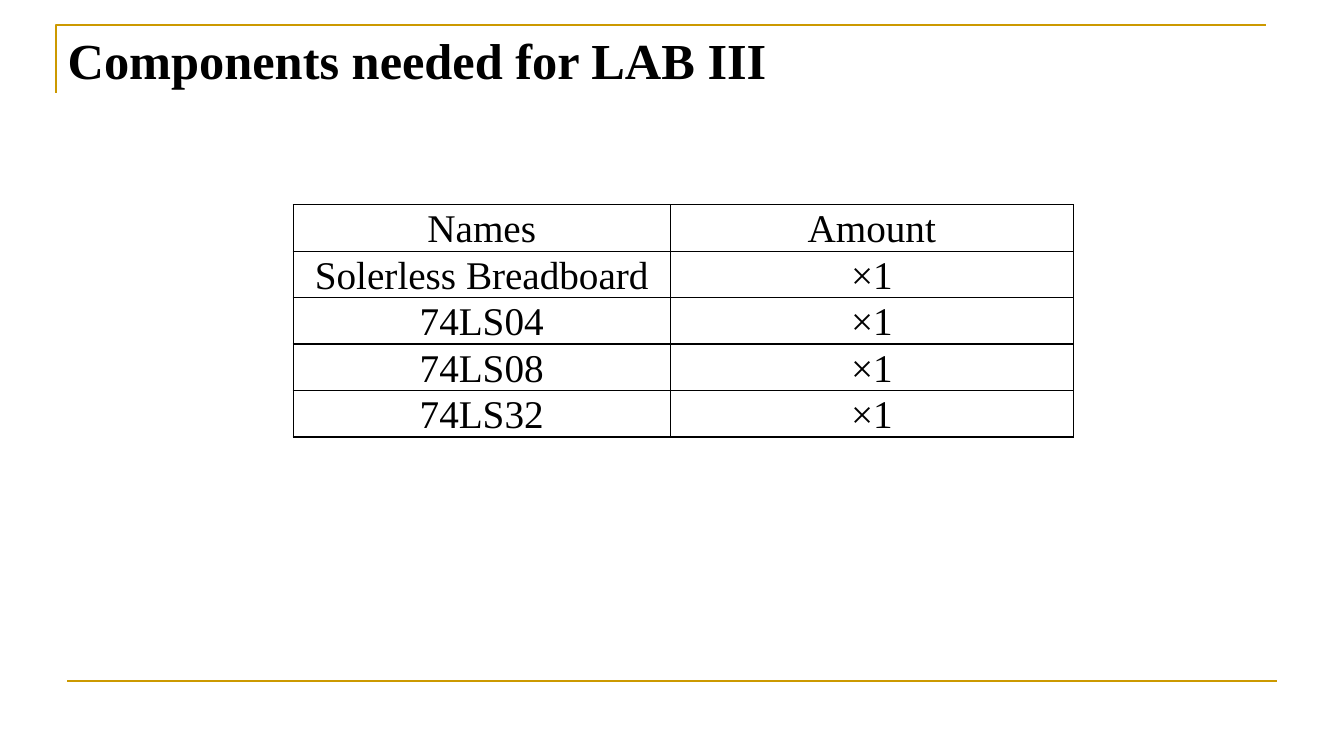
from dataclasses import dataclass

from lxml.etree import SubElement
from pptx import Presentation
from pptx.dml.color import RGBColor
from pptx.enum.shapes import MSO_CONNECTOR
from pptx.enum.text import MSO_ANCHOR, PP_ALIGN
from pptx.oxml.ns import qn
from pptx.util import Cm, Pt

FONT = "Times New Roman"
BLACK = "000000"
GOLD = "CC9900"
COLUMN_WIDTHS = (9.5, 10.16)
ROW_HEIGHT = 1.17


@dataclass(frozen=True)
class Component:
    name: str
    amount: str


COMPONENTS = (
    Component("Names", "Amount"),
    Component("Solerless Breadboard", "×1"),
    Component("74LS04", "×1"),
    Component("74LS08", "×1"),
    Component("74LS32", "×1"),
)


def colour(value: str) -> RGBColor:
    return RGBColor.from_string(value)


def style_line(line) -> None:
    line.color.rgb = colour(GOLD)
    line.width = Pt(1.5)


def style_font(font, size: float, bold: bool = False) -> None:
    font.name = FONT
    font.size = Pt(size)
    font.bold = bold
    font.color.rgb = colour(BLACK)


def add_frame_lines(slide) -> None:
    builder = slide.shapes.build_freeform(Cm(1.42), Cm(2.34))
    builder.add_line_segments(
        [(Cm(1.42), Cm(0.64)), (Cm(31.9), Cm(0.64))], close=False
    )
    corner = builder.convert_to_shape()
    corner.shadow.inherit = False
    corner.fill.background()
    style_line(corner.line)

    footer = slide.shapes.add_connector(
        MSO_CONNECTOR.STRAIGHT, Cm(1.7), Cm(17.15), Cm(32.18), Cm(17.15)
    )
    style_line(footer.line)
    SubElement(footer._element.spPr, qn("a:effectLst"))


def format_title(title, text: str) -> None:
    title.left, title.top = Cm(1.45), Cm(0.61)
    title.width, title.height = Cm(25.6), Cm(3.35)
    frame = title.text_frame
    frame.text = text
    frame.vertical_anchor = MSO_ANCHOR.TOP
    paragraph = frame.paragraphs[0]
    paragraph.alignment = PP_ALIGN.LEFT
    style_font(paragraph.font, 36, bold=True)


def add_borders(cell) -> None:
    properties = cell._tc.get_or_add_tcPr()
    for side in ("lnL", "lnR", "lnT", "lnB"):
        border = SubElement(properties, qn(f"a:{side}"), w=str(Pt(1)))
        fill = SubElement(border, qn("a:solidFill"))
        SubElement(fill, qn("a:srgbClr"), val=BLACK)


def fill_cell(cell, text: str) -> None:
    cell.text = text
    cell.vertical_anchor = MSO_ANCHOR.MIDDLE
    cell.margin_left = cell.margin_right = Cm(0.2)
    cell.margin_top = cell.margin_bottom = 0
    add_borders(cell)
    cell.fill.background()
    paragraph = cell.text_frame.paragraphs[0]
    paragraph.alignment = PP_ALIGN.CENTER
    paragraph.line_spacing = 1.07
    style_font(paragraph.font, 28)


def add_component_table(slide, components: tuple[Component, ...]) -> None:
    table = slide.shapes.add_table(
        len(components), len(COLUMN_WIDTHS), Cm(7.39), Cm(5.16),
        Cm(sum(COLUMN_WIDTHS)), Cm(ROW_HEIGHT * len(components)),
    ).table
    table.first_row = table.horz_banding = False
    for column, width in zip(table.columns, COLUMN_WIDTHS):
        column.width = Cm(width)
    for row, component in zip(table.rows, components):
        row.height = Cm(ROW_HEIGHT)
        for cell, text in zip(row.cells, (component.name, component.amount)):
            fill_cell(cell, text)


def main() -> None:
    """Build the slide listing the components for the third lab."""
    presentation = Presentation()
    presentation.slide_width = Cm(33.87)
    presentation.slide_height = Cm(19.05)
    slide = presentation.slides.add_slide(presentation.slide_layouts[5])
    add_frame_lines(slide)
    format_title(slide.shapes.title, "Components needed for LAB III")
    add_component_table(slide, COMPONENTS)
    presentation.save("out.pptx")


if __name__ == "__main__":
    main()
